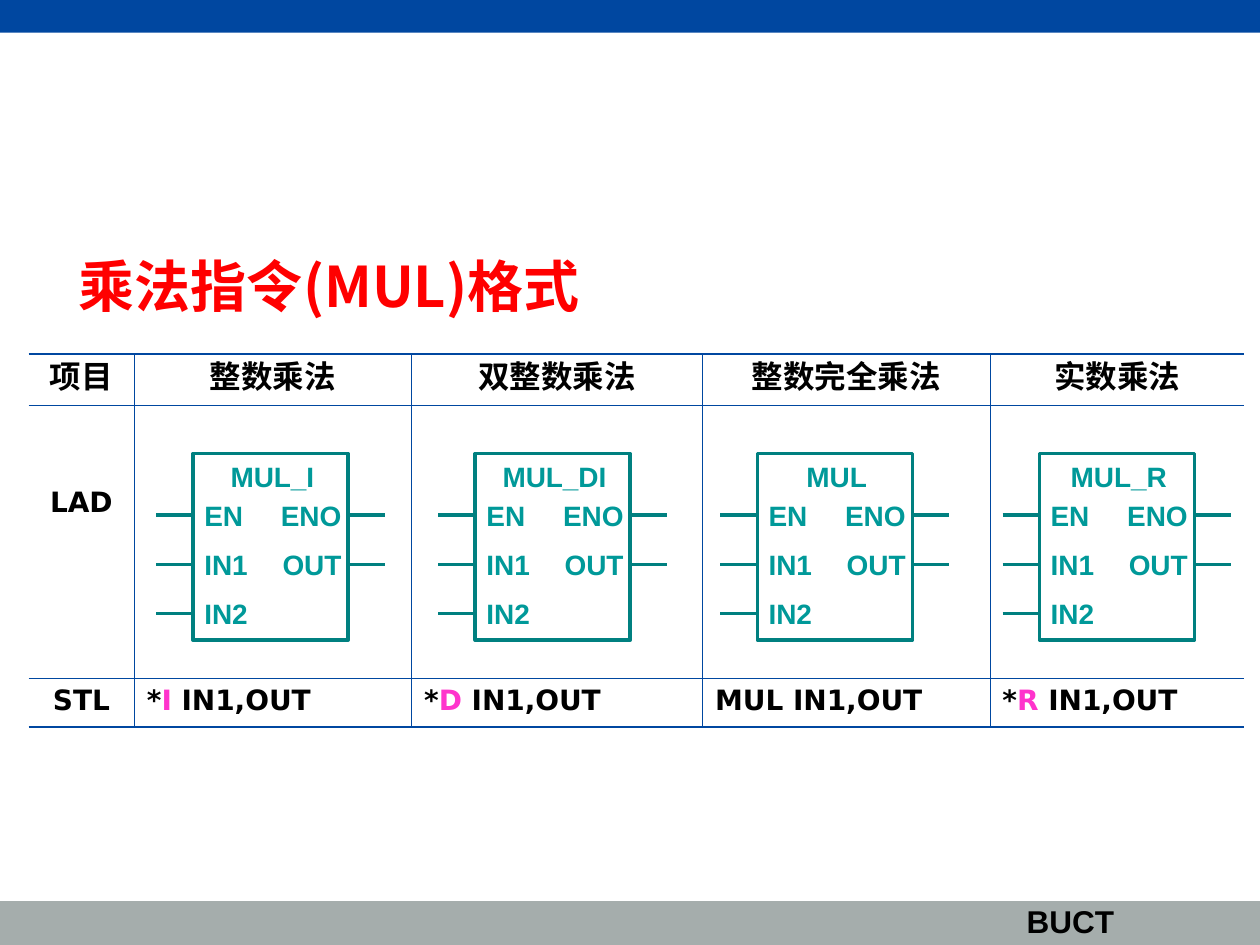
from dataclasses import dataclass

from lxml.etree import SubElement
from pptx import Presentation
from pptx.dml.color import RGBColor
from pptx.enum.shapes import MSO_CONNECTOR as Connector, MSO_SHAPE as Shape
from pptx.enum.text import MSO_ANCHOR as Anchor, PP_ALIGN as Align
from pptx.oxml.ns import qn
from pptx.util import Pt


@dataclass(frozen=True)
class Theme:
    blue: str = "0047A0"
    gray: str = "A5ADAC"
    red: str = "FF0000"
    black: str = "000000"
    pink: str = "FF33CC"
    frame: str = "008080"
    label: str = "009999"
    title_size: float = 32
    head_size: float = 18
    body_size: float = 16
    sans: str = "Arial"
    table: str = "DejaVu Sans"
    cjk: str = "Noto Sans CJK SC"
    rule: float = 0.45
    edge: float = 1.08
    pin: float = 2


T = Theme()

HEADS = ["项目", "整数乘法", "双整数乘法", "整数完全乘法", "实数乘法"]
STATEMENTS = [
    [("*", T.black), ("I", T.pink), (" IN1,OUT", T.black)],
    [("*", T.black), ("D ", T.pink), ("IN1,OUT", T.black)],
    [("MUL IN1,OUT", T.black)],
    [("*", T.black), ("R", T.pink), (" IN1,OUT", T.black)],
]
BLOCKS = ["MUL_I", "MUL_DI", "MUL", "MUL_R"]
COL_WIDTHS = [60.5, 158.4, 166.3, 164.2, 145.4]
ROW_HEIGHTS = [29, 156, 28]


def write(tf, runs, size, font, color=T.black, align=Align.LEFT):
    """Fill the first paragraph with a string or with (text, colour) runs."""
    p = tf.paragraphs[0]
    p.alignment = align
    for text, run_color in [(runs, color)] if isinstance(runs, str) else runs:
        r = p.add_run()
        r.text = text
        r.font.size = Pt(size)
        r.font.bold = True
        r.font.color.rgb = RGBColor.from_string(run_color)
        r.font.name = font
        SubElement(r.font._element, qn("a:ea"), typeface=font)


def add_text(shapes, box, text, anchor=Anchor.TOP, **fmt):
    tf = shapes.add_textbox(*map(Pt, box)).text_frame
    tf.word_wrap = True
    tf.vertical_anchor = anchor
    write(tf, text, **fmt)


def add_rect(shapes, box, fill=None, line=None):
    sp = shapes.add_shape(Shape.RECTANGLE, *map(Pt, box))
    sp.shadow.inherit = False
    if fill:
        sp.fill.solid()
        sp.fill.fore_color.rgb = RGBColor.from_string(fill)
    else:
        sp.fill.background()
    if line:
        sp.line.color.rgb = RGBColor.from_string(line)
        sp.line.width = Pt(T.pin)
    else:
        sp.line.fill.background()


def add_pin(shapes, x, y, length):
    ln = shapes.add_connector(Connector.STRAIGHT, Pt(x), Pt(y), Pt(x + length), Pt(y))
    ln.line.color.rgb = RGBColor.from_string(T.frame)
    ln.line.width = Pt(T.pin)
    SubElement(ln._element.spPr, qn("a:effectLst"))


def set_borders(cell, **widths):
    """Draw the sides given a width, hide the others."""
    tc_pr = cell._tc.get_or_add_tcPr()
    for i, side in enumerate(("left", "right", "top", "bottom")):
        width = widths.get(side)
        ln = tc_pr.makeelement(qn("a:ln" + side[0].upper()), {"w": str(Pt(width or 0))})
        tc_pr.insert(i, ln)
        if width:
            fill = SubElement(ln, qn("a:solidFill"))
            SubElement(fill, qn("a:srgbClr"), val=T.blue)
        else:
            SubElement(ln, qn("a:noFill"))


def add_bands(s, width, height):
    add_rect(s.shapes, (0, height - 25, width, 25), fill=T.gray)
    add_rect(s.shapes, (0, 0, width, 18.7), fill=T.blue)
    add_text(s.shapes, (width - 140.4, height - 28, 68, 29), "BUCT",
             size=T.head_size, font=T.sans)


def add_format_table(s, left, top):
    rows, cols = len(ROW_HEIGHTS), len(COL_WIDTHS)
    table = s.shapes.add_table(rows, cols, Pt(left), Pt(top), Pt(sum(COL_WIDTHS)),
                               Pt(sum(ROW_HEIGHTS))).table
    table.first_row = table.horz_banding = False
    for col, width in zip(table.columns, COL_WIDTHS):
        col.width = Pt(width)
    for row, height in zip(table.rows, ROW_HEIGHTS):
        row.height = Pt(height)
    contents = [HEADS, ["LAD"] + [""] * (cols - 1), ["STL"] + STATEMENTS]
    for i, line in enumerate(contents):
        for j, text in enumerate(line):
            cell = table.cell(i, j)
            cell.fill.background()
            set_borders(cell,
                        left=T.rule if j else None,
                        right=T.rule if j < cols - 1 else None,
                        top=T.rule if i else T.edge,
                        bottom=T.rule if i < rows - 1 else T.edge)
            if i == 0:
                cell.margin_top, cell.margin_bottom = Pt(3), 0
            elif i == 1:
                cell.margin_top = Pt(46.5)
            if text:
                write(cell.text_frame, text, font=T.table,
                      size=T.body_size if i else T.head_size,
                      align=Align.LEFT if i == 2 and j else Align.CENTER)


def add_block(s, left, top, name):
    """Ladder block: a frame with three input and two output pins."""
    shapes = s.shapes.add_group_shape().shapes
    pin, width, height, row = 21.1, 88.6, 106.6, 26.6
    x = left + pin
    label = dict(size=T.body_size, font=T.sans, color=T.label)
    add_rect(shapes, (x, top, width, height), line=T.frame)
    add_text(shapes, (x + 1, top, width, row), name, align=Align.CENTER, **label)
    for side, names in (("in", ["EN", "IN1", "IN2"]), ("out", ["ENO", "OUT"])):
        for i, text in enumerate(names):
            y = top + 35.2 + 28.1 * i
            if side == "in":
                add_pin(shapes, left, y, pin)
                add_text(shapes, (x - 0.7, y - row / 2, 42, row), text, **label)
            else:
                add_pin(shapes, x + width, y, pin)
                add_text(shapes, (x + width - 48.8, y - row / 2, 52, row), text,
                         align=Align.RIGHT, **label)


def main():
    prs = Presentation()
    prs.slide_width, prs.slide_height = Pt(720), Pt(540)
    s = prs.slides.add_slide(prs.slide_layouts[6])
    add_bands(s, 720, 540)
    add_text(s.shapes, (28, 139.7, 320.4, 46), "乘法指令(MUL)格式", anchor=Anchor.MIDDLE,
             size=T.title_size, font=T.cjk, color=T.red, align=Align.CENTER)
    add_format_table(s, 16.3, 202.4)
    for i, name in enumerate(BLOCKS):
        add_block(s, 89.3 + 161.2 * i, 259.2, name)
    prs.save("out.pptx")


if __name__ == "__main__":
    main()
